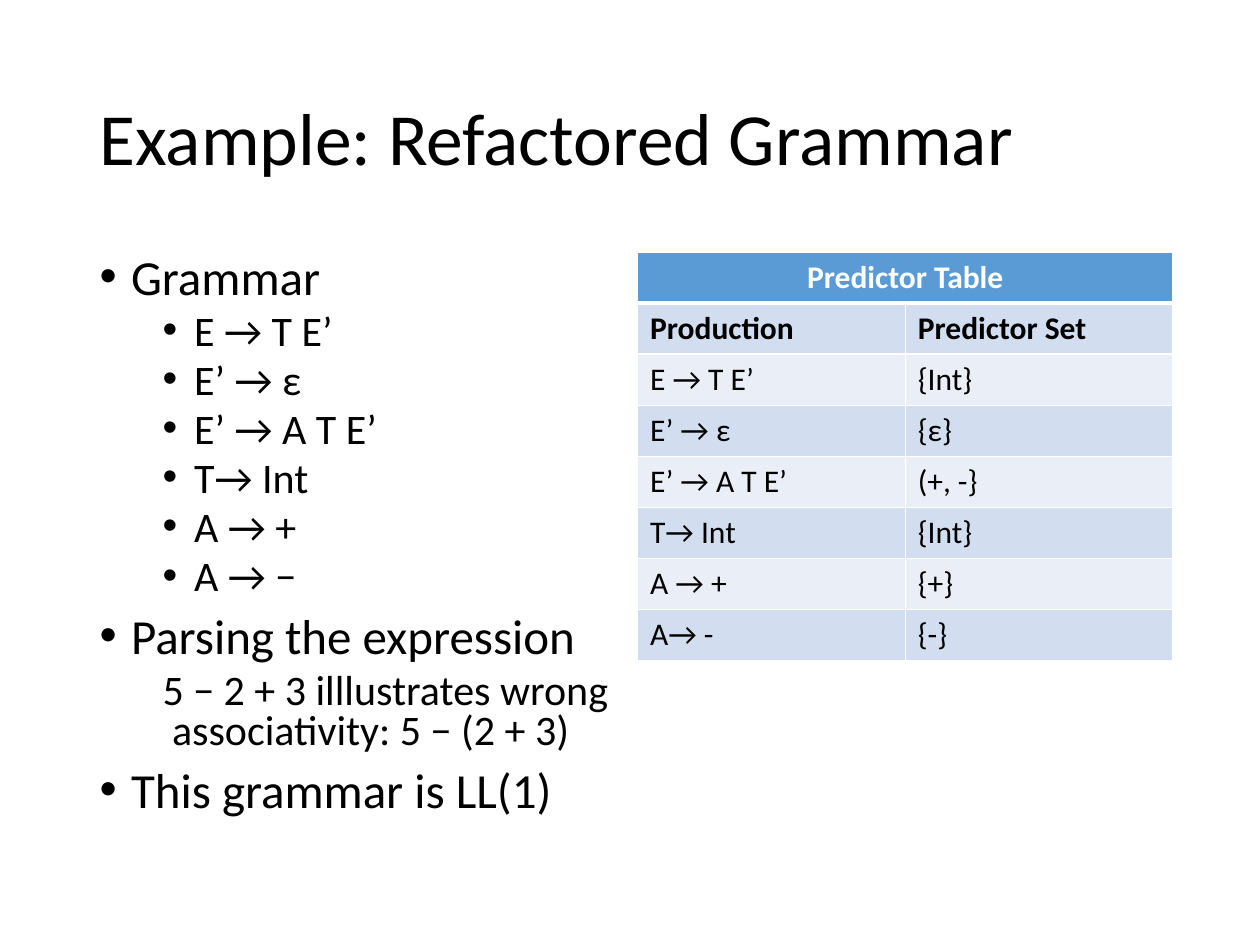
from lxml import etree
from pptx import Presentation
from pptx.dml.color import RGBColor
from pptx.enum.text import MSO_ANCHOR, MSO_AUTO_SIZE, PP_ALIGN
from pptx.oxml.ns import qn
from pptx.util import Inches, Pt

COLORS = {"ink": "000000", "paper": "FFFFFF", "header": "5B9BD5",
          "dark_band": "D2DEEF", "light_band": "EAEFF7"}
LEFT, RIGHT, TOP = 0.69, 9.31, 2
COLUMN = 4.25
TABLE_LEFT = RIGHT - COLUMN

outline = [
    ("Grammar", "topic"),
    ("E → T E’", "rule"),
    ("E’ → ε", "rule"),
    ("E’ → A T E’", "rule"),
    ("T→ Int", "rule"),
    ("A → +", "rule"),
    ("A → −", "rule"),
    ("Parsing the expression", "topic"),
    ("5 − 2 + 3 illlustrates wrong\v associativity: 5 − (2 + 3)", "remark"),
    ("This grammar is LL(1)", "topic"),
]
OUTLINE_STYLES = {
    "topic": (0, 28, 10, 0.25, -0.25),
    "rule": (1, 24, 5, 0.75, -0.25),
    "remark": (1, 24, 5, 0.5, 0),
}
predictions = [
    ("Predictor Table", ""),
    ("Production", "Predictor Set"),
    ("E → T E’", "{Int}"),
    ("E’ → ε", "{ε}"),
    ("E’ → A T E’", "(+, -}"),
    ("T→ Int", "{Int}"),
    ("A → +", "{+}"),
    ("A→ -", "{-}"),
]


def format_runs(paragraph, size, color, bold=False):
    for run in paragraph.runs:
        run.font.name = "Calibri"
        run.font.size = Pt(size)
        run.font.bold = bold
        run.font.color.rgb = RGBColor.from_string(COLORS[color])


def add_borders(cell, widths):
    properties = cell._tc.get_or_add_tcPr()
    for position, (side, width) in enumerate(widths.items()):
        line = etree.Element(qn(f"a:ln{side}"), w=str(Pt(width)))
        fill = etree.SubElement(line, qn("a:solidFill"))
        etree.SubElement(fill, qn("a:srgbClr"), val=COLORS["paper"])
        properties.insert(position, line)


deck = Presentation()
deck.slide_width, deck.slide_height = Inches(10), Inches(7.5)
slide = deck.slides.add_slide(deck.slide_layouts[1])

title = slide.shapes.title
title.left, title.top = Inches(LEFT), Inches(0.4)
title.width, title.height = Inches(RIGHT - LEFT), Inches(1.45)
title.text_frame.text = "Example: Refactored Grammar"
title.text_frame.vertical_anchor = MSO_ANCHOR.MIDDLE
title.text_frame.auto_size = MSO_AUTO_SIZE.NONE
heading = title.text_frame.paragraphs[0]
heading.alignment = PP_ALIGN.LEFT
heading.line_spacing = 0.9
format_runs(heading, 42, "ink")

body = slide.placeholders[1]
body.left, body.top = Inches(LEFT), Inches(TOP)
body.width, body.height = Inches(COLUMN), Inches(4.76)
body.text_frame.text = "\n".join(text.replace("\v", " ") for text, _ in outline)
body.text_frame.auto_size = MSO_AUTO_SIZE.NONE
for paragraph, (text, kind) in zip(body.text_frame.paragraphs, outline):
    level, size, space, margin, indent = OUTLINE_STYLES[kind]
    paragraph.text = text
    paragraph.level = level
    paragraph.line_spacing = 0.8
    paragraph.space_before = Pt(space)
    paragraph.space_after = Pt(0)
    format_runs(paragraph, size, "ink")
    properties = paragraph._p.get_or_add_pPr()
    properties.set("marL", str(Inches(margin)))
    properties.set("indent", str(Inches(indent)))
    if kind == "remark":
        etree.SubElement(properties, qn("a:buNone"))
    else:
        etree.SubElement(properties, qn("a:buFont"), typeface="Arial")
        etree.SubElement(properties, qn("a:buChar"), char="•")

predictor = slide.shapes.add_table(
    len(predictions), 2, Inches(TABLE_LEFT), Inches(TOP),
    Inches(COLUMN), Inches(0.405 * len(predictions))).table
predictor.cell(0, 0).merge(predictor.cell(0, 1))
for row, entries in enumerate(predictions):
    band = "header" if row == 0 else ("dark_band" if row % 2 else "light_band")
    for column, entry in enumerate(entries):
        cell = predictor.cell(row, column)
        cell.fill.solid()
        cell.fill.fore_color.rgb = RGBColor.from_string(COLORS[band])
        add_borders(cell, {"L": 1, "R": 1, "T": 3 if row == 1 else 1,
                           "B": 3 if row == 0 else 1})
        if cell.is_spanned:
            continue
        cell.text_frame.text = entry
        paragraph = cell.text_frame.paragraphs[0]
        paragraph.alignment = PP_ALIGN.CENTER if row == 0 else PP_ALIGN.LEFT
        format_runs(paragraph, 18, "paper" if row == 0 else "ink", row < 2)

deck.save("out.pptx")
